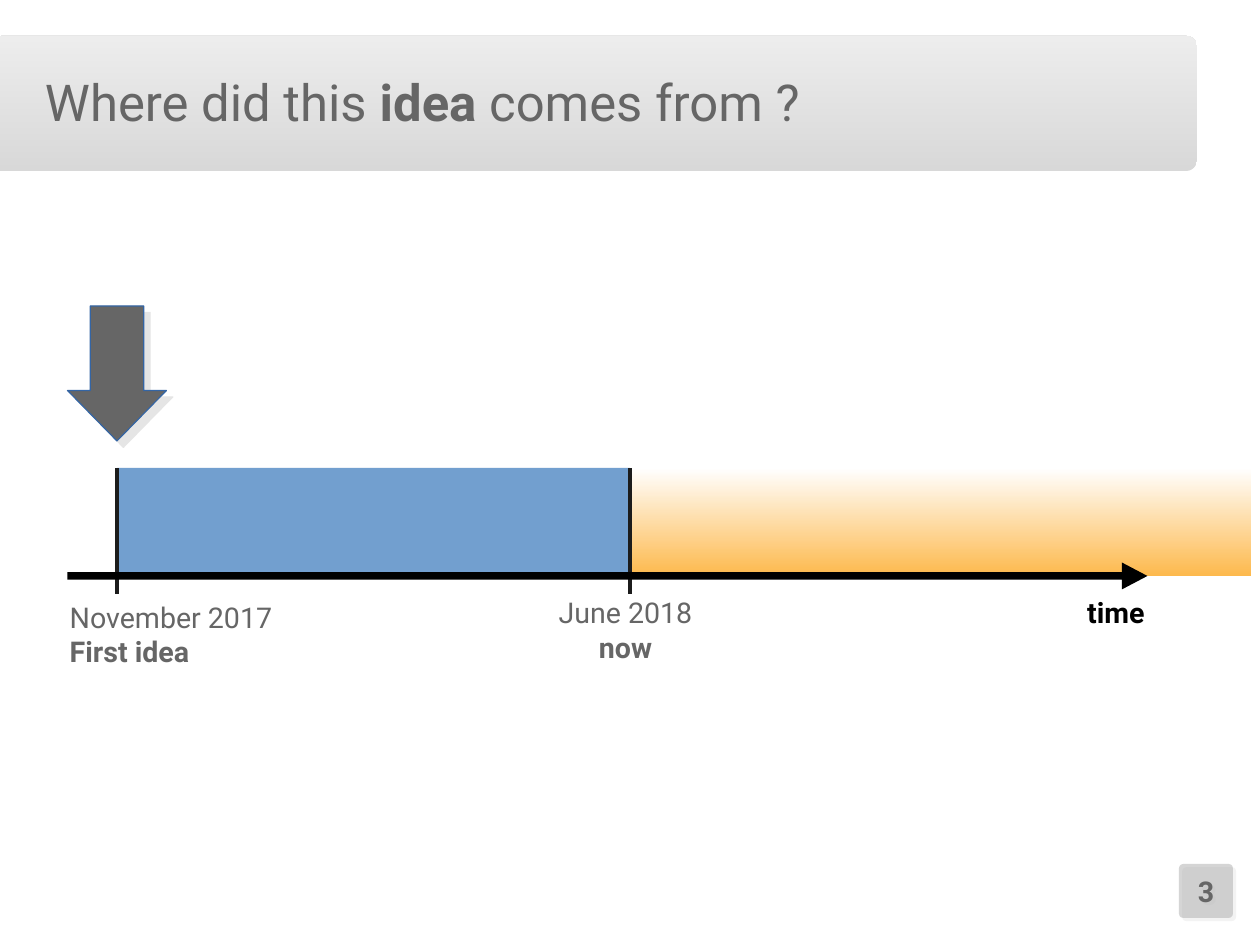
from lxml import etree
from pptx import Presentation
from pptx.dml.color import RGBColor
from pptx.enum import shapes, text
from pptx.oxml.ns import qn
from pptx.util import Cm, Pt

FONT = "Roboto"
GREY = RGBColor(0x66, 0x66, 0x66)
MID_GREY = RGBColor(0xB2, 0xB2, 0xB2)
LIGHT_GREY = RGBColor(0xDD, 0xDD, 0xDD)
BLACK = RGBColor(0, 0, 0)
TICK = RGBColor(0x1C, 0x1C, 0x1C)
WHITE = RGBColor(0xFF, 0xFF, 0xFF)
BLUE = RGBColor(0x72, 0x9F, 0xCF)
DARK_BLUE = RGBColor(0x34, 0x65, 0xA4)
ORANGE = RGBColor(0xFD, 0xB9, 0x4D)

SHAPE = shapes.MSO_SHAPE
LEFT, CENTER = text.PP_ALIGN.LEFT, text.PP_ALIGN.CENTER


def add_shape(slide, kind, box, colors, adjustments=()):
    """Add a borderless shape; two colours make a gradient from bottom to top."""
    sp = slide.shapes.add_shape(kind, *map(Cm, box))
    sp.shadow.inherit = False
    sp.line.fill.background()
    for i, value in enumerate(adjustments):
        sp.adjustments[i] = value
    if len(colors) == 1:
        sp.fill.solid()
        sp.fill.fore_color.rgb = colors[0]
    else:
        sp.fill.gradient()
        sp.fill.gradient_angle = 90
        for stop, position, color in zip(sp.fill.gradient_stops, (0, 1), colors):
            stop.position = position
            stop.color.rgb = color
    return sp


def set_opacity(sp, percent):
    for color in sp._element.spPr.iter(qn("a:srgbClr")):
        etree.SubElement(color, qn("a:alpha"), val=str(percent * 1000))


def add_shadow(sp, distance, percent):
    effects = sp._element.spPr.find(qn("a:effectLst"))
    shadow = etree.SubElement(effects, qn("a:outerShdw"), blurRad="0",
                              dist=str(Pt(distance)), dir="2700000",
                              algn="tl", rotWithShape="0")
    color = etree.SubElement(shadow, qn("a:srgbClr"), val="808080")
    etree.SubElement(color, qn("a:alpha"), val=str(percent * 1000))


def write(sp, lines, size=18, color=GREY, align=LEFT, margins=(0, 0),
          anchor=text.MSO_ANCHOR.MIDDLE):
    """Fill the shape with lines, each a list of (wording, bold) runs."""
    tf = sp.text_frame
    tf.word_wrap = True
    tf.vertical_anchor = anchor
    tf.margin_left = tf.margin_right = Cm(margins[0])
    tf.margin_top = tf.margin_bottom = Cm(margins[1])
    for i, runs in enumerate(lines):
        p = tf.add_paragraph() if i else tf.paragraphs[0]
        p.alignment = align
        p.font.name, p.font.size = FONT, Pt(size)
        p.font.color.rgb = color
        for wording, bold in runs:
            r = p.add_run()
            r.text = wording
            r.font.bold = bold


def add_title(slide, x, y, w, h):
    bar = add_shape(slide, SHAPE.ROUNDED_RECTANGLE, (x, y, w, h),
                    (MID_GREY, LIGHT_GREY), [0.08])
    set_opacity(bar, 50)
    title = slide.shapes.add_textbox(Cm(x + 1.2), Cm(y + 0.2), Cm(17.2), Cm(h - 0.5))
    write(title, [[("Where did this ", False), ("idea", True),
                   (" comes from ?", False)]], size=32)


def add_page_number(slide, x, y, side):
    sp = add_shape(slide, SHAPE.ROUNDED_RECTANGLE, (x, y, side, side),
                   [MID_GREY], [0.08])
    set_opacity(sp, 54)
    add_shadow(sp, 2.8, 17)
    write(sp, [[("3", True)]], align=CENTER)


def add_marker(slide, tip_x, y, w, h):
    sp = add_shape(slide, SHAPE.DOWN_ARROW, (tip_x - w / 2, y, w, h), [GREY],
                   [0.54, 0.51])
    sp.line.color.rgb = DARK_BLUE
    sp.line.width = Pt(0)
    add_shadow(sp, 5.7, 20)


def add_tick(slide, x, top, bottom):
    line = slide.shapes.add_connector(shapes.MSO_CONNECTOR.STRAIGHT,
                                      Cm(x), Cm(top), Cm(x), Cm(bottom))
    line.line.color.rgb = TICK
    line.line.width = Pt(2.3)
    etree.SubElement(line._element.spPr, qn("a:effectLst"))


def add_label(slide, box, lines, color=GREY, align=CENTER):
    label = slide.shapes.add_textbox(*map(Cm, box))
    write(label, lines, color=color, align=align, margins=(0.25, 0.13),
          anchor=text.MSO_ANCHOR.TOP)


def add_timeline(slide, x, y, w, h):
    start, now, axis = x + 1.1, x + 12.5, y + h
    add_shape(slide, SHAPE.RECTANGLE, (now, y, 13.8, h), (ORANGE, WHITE))
    add_shape(slide, SHAPE.RECTANGLE, (start, y, now - start, h), [BLUE])
    for tick in (start, now):
        add_tick(slide, tick, y, axis + 0.4)
    add_label(slide, (now - 2.4, axis + 0.3, 4.6, 2.46),
              [[("June 2018", False)], [("now", True)]])
    add_label(slide, (x - 0.2, axis + 0.4, 6.5, 2.46),
              [[("November 2017", False)], [("First idea", True)]], align=LEFT)
    add_shape(slide, SHAPE.RIGHT_ARROW, (x, axis - 0.3, w, 0.6), [BLACK],
              [0.28, 0.95])
    add_label(slide, (x + w - 2.1, axis + 0.3, 2.8, 1.32), [[("time", True)]],
              color=BLACK)
    add_marker(slide, start, y - 3.6, 2.2, 3)


def main():
    prs = Presentation()
    prs.slide_width, prs.slide_height = Cm(28), Cm(21)
    slide = prs.slides.add_slide(prs.slide_layouts[6])
    add_title(slide, -0.2, 0.8, 26.8, 3)
    add_timeline(slide, 1.5, 10.4, 24, 2.4)
    add_page_number(slide, 26.2, 19.2, 1.2)
    prs.save("out.pptx")


if __name__ == "__main__":
    main()
